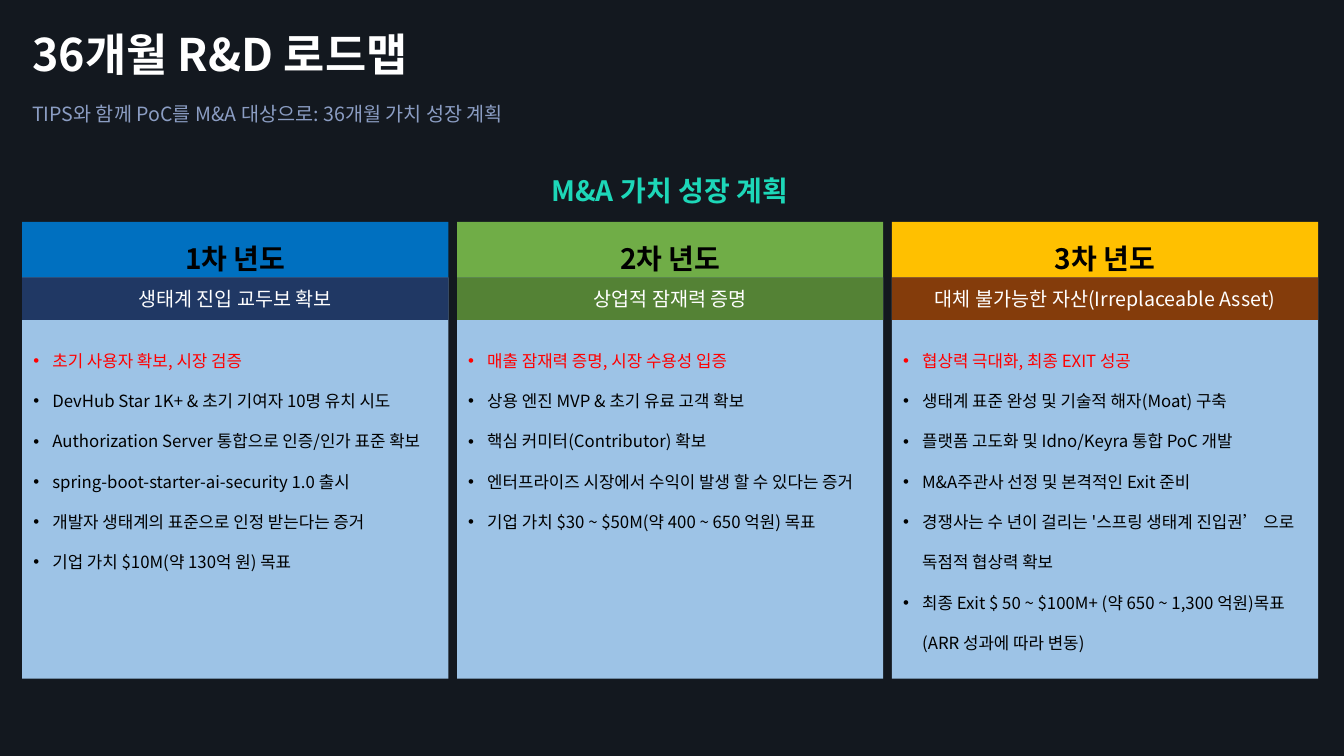
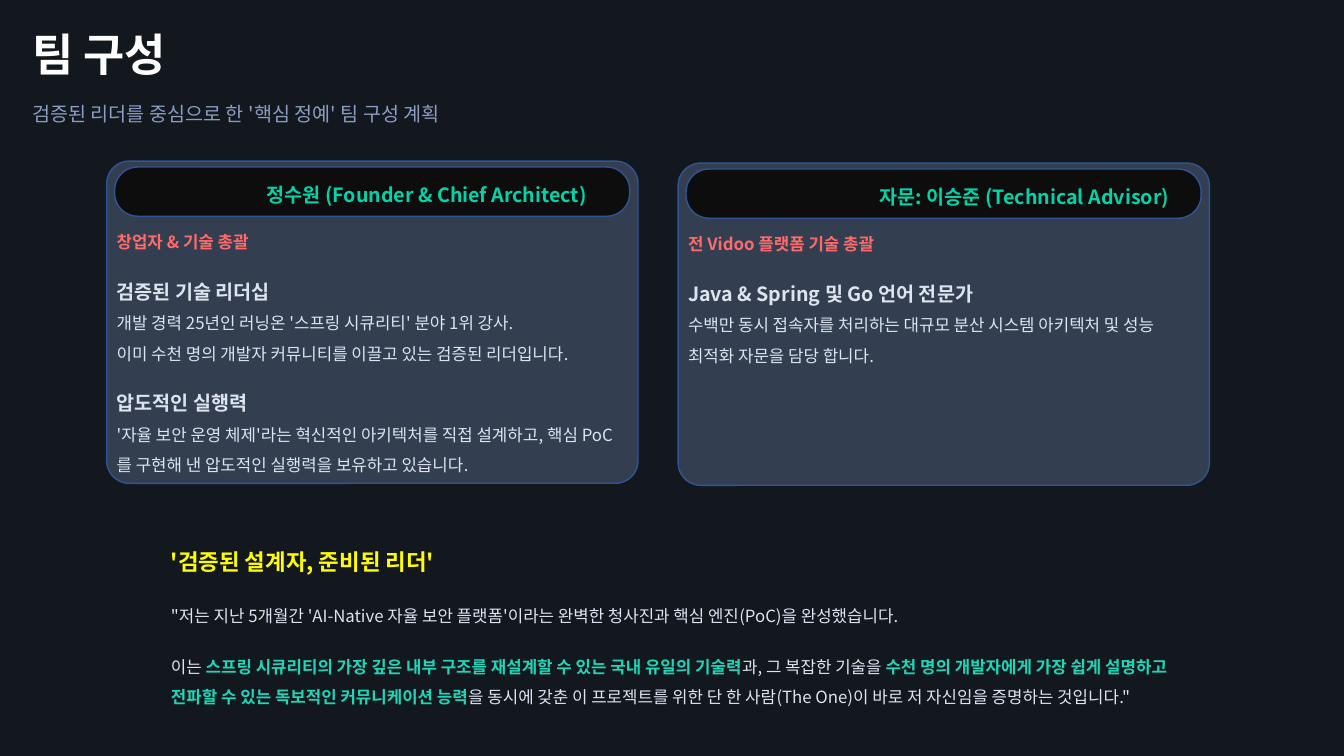
"""Builds a 36-month roadmap slide and a team slide."""
from lxml.etree import SubElement
from pptx import Presentation
from pptx.dml.color import RGBColor
from pptx.enum.shapes import MSO_SHAPE as Preset
from pptx.enum.text import MSO_ANCHOR as Anchor, MSO_AUTO_SIZE as AutoSize, PP_ALIGN as Align
from pptx.oxml.ns import qn
from pptx.util import Cm, Pt

FONT = "Noto Sans CJK KR"
BACKGROUND, CARD, PILL, CARD_LINE, COLUMN = "13181F", "333F50", "0D0D0D", "2F5597", "9DC3E6"
WHITE, BLACK, MIST, TEAL = "FFFFFF", "000000", "DDE4F0", "1DD7B8"
color = RGBColor.from_string

TITLE = {"size": Pt(32), "bold": True, "color": WHITE}
SUBTITLE = {"size": Pt(14), "bold": False, "color": "8B9DC3"}
HEADING = {"size": Pt(20), "bold": True, "color": TEAL}
YEAR = {"size": Pt(20), "bold": True, "color": BLACK}
GOAL = {"size": Pt(14), "bold": False, "color": WHITE}
KEY_ITEM = {"size": Pt(12), "bold": False, "color": "FF0000"}
ITEM = {"size": Pt(12), "bold": False, "color": BLACK}
NAME = {"size": Pt(14), "bold": True, "color": "00D4AA"}
ROLE = {"size": Pt(12), "bold": True, "color": "FF6B6B"}
STRENGTH = {"size": Pt(14), "bold": True, "color": MIST}
BODY = {"size": Pt(12), "bold": False, "color": MIST}
ACCENT = {"size": Pt(12), "bold": True, "color": TEAL}
QUOTE_TITLE = {"size": Pt(16), "bold": True, "color": "FFFF00"}

LEFT = {"alignment": Align.LEFT, "space_after": Pt(15)}
CENTER = {"alignment": Align.CENTER}
LOOSE = {"line_spacing": 1.5}
BULLET = {"line_spacing": 2.0}
TIGHT = {"line_spacing": 1.5, "space_after": Pt(0)}
SPACED = {"line_spacing": 1.5, "space_after": Pt(11.2)}
QUOTE = {"line_spacing": 1.5, "space_after": Pt(15)}


def add_panel(slide, preset, position, fill, line=None, rounding=None):
    """Add a flat filled shape at left, top, width, height in centimetres."""
    shape = slide.shapes.add_shape(preset, *map(Cm, position))
    shape.shadow.inherit = False
    shape.fill.solid()
    shape.fill.fore_color.rgb = color(fill)
    if line:
        shape.line.color.rgb = color(line)
        shape.line.width = Pt(1)
    else:
        shape.line.fill.background()
    if rounding is not None:
        shape.adjustments[0] = rounding
    return shape


def write(shape, paragraphs, anchor=Anchor.TOP, auto_size=AutoSize.SHAPE_TO_FIT_TEXT):
    """Write (layout, runs, left margin, bullet indent) paragraphs into a shape."""
    frame = shape.text_frame
    frame.word_wrap = True
    frame.auto_size = auto_size
    frame.vertical_anchor = anchor
    for index, (layout, runs, *indents) in enumerate(paragraphs):
        paragraph = frame.add_paragraph() if index else frame.paragraphs[0]
        for attribute, value in layout.items():
            setattr(paragraph, attribute, value)
        if indents:
            properties = paragraph._p.get_or_add_pPr()
            properties.set("marL", str(Cm(indents[0])))
            if layout is BULLET:
                properties.set("indent", str(-Cm(indents[0])))
                SubElement(properties, qn("a:buFont")).set("typeface", "Arial")
                SubElement(properties, qn("a:buChar")).set("char", "•")
        for text, style in runs:
            run = paragraph.add_run()
            run.text = text
            for attribute, value in style.items():
                if attribute == "color":
                    run.font.color.rgb = color(value)
                else:
                    setattr(run.font, attribute, value)
            run.font.name = FONT
            SubElement(run._r.get_or_add_rPr(), qn("a:ea")).set("typeface", FONT)


presentation = Presentation()
presentation.slide_width, presentation.slide_height = Cm(33.87), Cm(19.05)
background = presentation.slide_master.background.fill
background.solid()
background.fore_color.rgb = color(BACKGROUND)

slides = []
for title_text, title_width, subtitle_text, subtitle_width in [
    ("36개월 R&D 로드맵", 13.28,
     "TIPS와 함께 PoC를 M&A 대상으로: 36개월 가치 성장 계획", 12.52),
    ("팀 구성", 5.79, "검증된 리더를 중심으로 한 '핵심 정예' 팀 구성 계획", 11.38),
]:
    slide = presentation.slides.add_slide(presentation.slide_layouts[5])
    title = slide.shapes.title
    title.left, title.top, title.width, title.height = map(Cm, (0.56, 0.53, title_width, 1.63))
    write(title, [(LEFT, [(title_text, TITLE)])], Anchor.BOTTOM)
    subtitle = slide.shapes.add_textbox(*map(Cm, (0.56, 2.16, subtitle_width, 1.07)))
    write(subtitle, [(LOOSE, [(subtitle_text, SUBTITLE)])])
    slides.append(slide)
roadmap, team = slides

years = [
    ("1차 년도", "0070C0", "생태계 진입 교두보 확보", "203864", 6.27, [
        "초기 사용자 확보, 시장 검증",
        "DevHub Star 1K+ & 초기 기여자 10명 유치 시도",
        "Authorization Server 통합으로 인증/인가 표준 확보",
        "spring-boot-starter-ai-security 1.0 출시",
        "개발자 생태계의 표준으로 인정 받는다는 증거",
        "기업 가치 $10M(약 130억 원) 목표",
    ]),
    ("2차 년도", "70AD47", "상업적 잠재력 증명", "548235", 5.26, [
        "매출 잠재력 증명, 시장 수용성 입증",
        "상용 엔진 MVP & 초기 유료 고객 확보",
        "핵심 커미터(Contributor) 확보",
        "엔터프라이즈 시장에서 수익이 발생 할 수 있다는 증거",
        "기업 가치 $30 ~ $50M(약 400 ~ 650 억원) 목표",
    ]),
    ("3차 년도", "FFC000", "대체 불가능한 자산(Irreplaceable Asset)", "843C0B", 8.33, [
        "협상력 극대화, 최종 EXIT 성공",
        "생태계 표준 완성 및 기술적 해자(Moat) 구축",
        "플랫폼 고도화 및 Idno/Keyra 통합 PoC 개발",
        "M&A주관사 선정 및 본격적인 Exit 준비",
        "경쟁사는 수 년이 걸리는 '스프링 생태계 진입권’ 으로 독점적 협상력 확보",
        "최종 Exit $ 50 ~ $100M+ (약 650 ~ 1,300 억원)목표 (ARR 성과에 따라 변동)",
    ]),
]
column_width, column_step = 10.74, 10.96
for number, (year, year_fill, goal, goal_fill, list_height, items) in enumerate(years):
    left = 0.56 + number * column_step
    add_panel(roadmap, Preset.RECTANGLE, (left, 6.99, column_width, 10.11), COLUMN)
    header = add_panel(roadmap, Preset.RECTANGLE, (left, 5.59, column_width, 1.4), year_fill)
    write(header, [({**CENTER, **LOOSE}, [(year, YEAR)])], Anchor.MIDDLE, AutoSize.NONE)
    band = add_panel(roadmap, Preset.RECTANGLE, (left, 6.99, column_width, 1.07), goal_fill)
    write(band, [(CENTER, [(goal, GOAL)])], Anchor.MIDDLE, AutoSize.NONE)
    item_list = roadmap.shapes.add_textbox(*map(Cm, (left + 0.03, 8.2, 10.49, list_height)))
    write(item_list, [(BULLET, [(item, ITEM if index else KEY_ITEM)], 0.48)
                      for index, item in enumerate(items)])

heading = roadmap.shapes.add_textbox(*map(Cm, (13.41, 4.22, 6.93, 1.12)))
write(heading, [({**CENTER, "space_after": Pt(15)}, [("M&A 가치 성장 계획", HEADING)])],
      Anchor.BOTTOM)

members = [
    (2.69, 4.06, 7.9, [
        (SPACED, [("정수원 (Founder & Chief Architect)", NAME)], 3.78),
        (SPACED, [("창업자 & 기술 총괄", ROLE)]),
        (TIGHT, [("검증된 기술 리더십", STRENGTH)]),
        (TIGHT, [("개발 경력 25년인 러닝온 '스프링 시큐리티' 분야 1위 강사.", BODY)]),
        (SPACED, [("이미 수천 명의 개발자 커뮤니티를 이끌고 있는 검증된 리더입니다.", BODY)]),
        (TIGHT, [("압도적인 실행력", STRENGTH)]),
        (SPACED, [("'자율 보안 운영 체제'라는 혁신적인 아키텍처를 직접 설계하고, 핵심 PoC 를 "
                   "구현해 낸 압도적인 실행력을 보유하고 있습니다.", BODY)]),
    ]),
    (17.09, 4.11, 5.08, [
        (SPACED, [("자문: 이승준 (Technical Advisor)", NAME)], 4.83),
        (SPACED, [("전 Vidoo 플랫폼 기술 총괄", ROLE)]),
        (TIGHT, [("Java & Spring 및 Go 언어 전문가", STRENGTH)]),
        (SPACED, [("수백만 동시 접속자를 처리하는 대규모 분산 시스템 아키텍처 및 성능 "
                   "최적화 자문을 담당 합니다.", BODY)]),
    ]),
]
card_width = 13.39
for left, top, profile_height, profile_text in members:
    add_panel(team, Preset.ROUNDED_RECTANGLE, (left, top, card_width, 8.12),
              CARD, CARD_LINE, 0.07)
    add_panel(team, Preset.ROUNDED_RECTANGLE, (left + 0.2, top + 0.15, 12.98, 1.24),
              PILL, CARD_LINE, 0.47)
    profile = team.shapes.add_textbox(*map(Cm, (left, top + 0.12, card_width, profile_height)))
    write(profile, profile_text)

quote = team.shapes.add_textbox(*map(Cm, (4.06, 13.34, 26.62, 4.6)))
write(quote, [
    (QUOTE, [("'검증된 설계자, 준비된 리더'", QUOTE_TITLE)]),
    (QUOTE, [("\"저는 지난 5개월간 'AI-Native 자율 보안 플랫폼'이라는 완벽한 청사진과 "
              "핵심 엔진(PoC)을 완성했습니다.", BODY)]),
    (QUOTE, [
        ("이는 ", BODY),
        ("스프링 시큐리티의 가장 깊은 내부 구조를 재설계할 수 있는 국내 유일의 기술력", ACCENT),
        ("과, 그 복잡한 기술을 ", BODY),
        ("수천 명의 개발자에게 가장 쉽게 설명하고 전파할 수 있는 독보적인 커뮤니케이션 능력", ACCENT),
        ("을 동시에 갖춘 이 프로젝트를 위한 단 한 사람(The One)이 바로 저 자신임을 "
         "증명하는 것입니다.\"", BODY),
    ]),
])

presentation.save("out.pptx")
